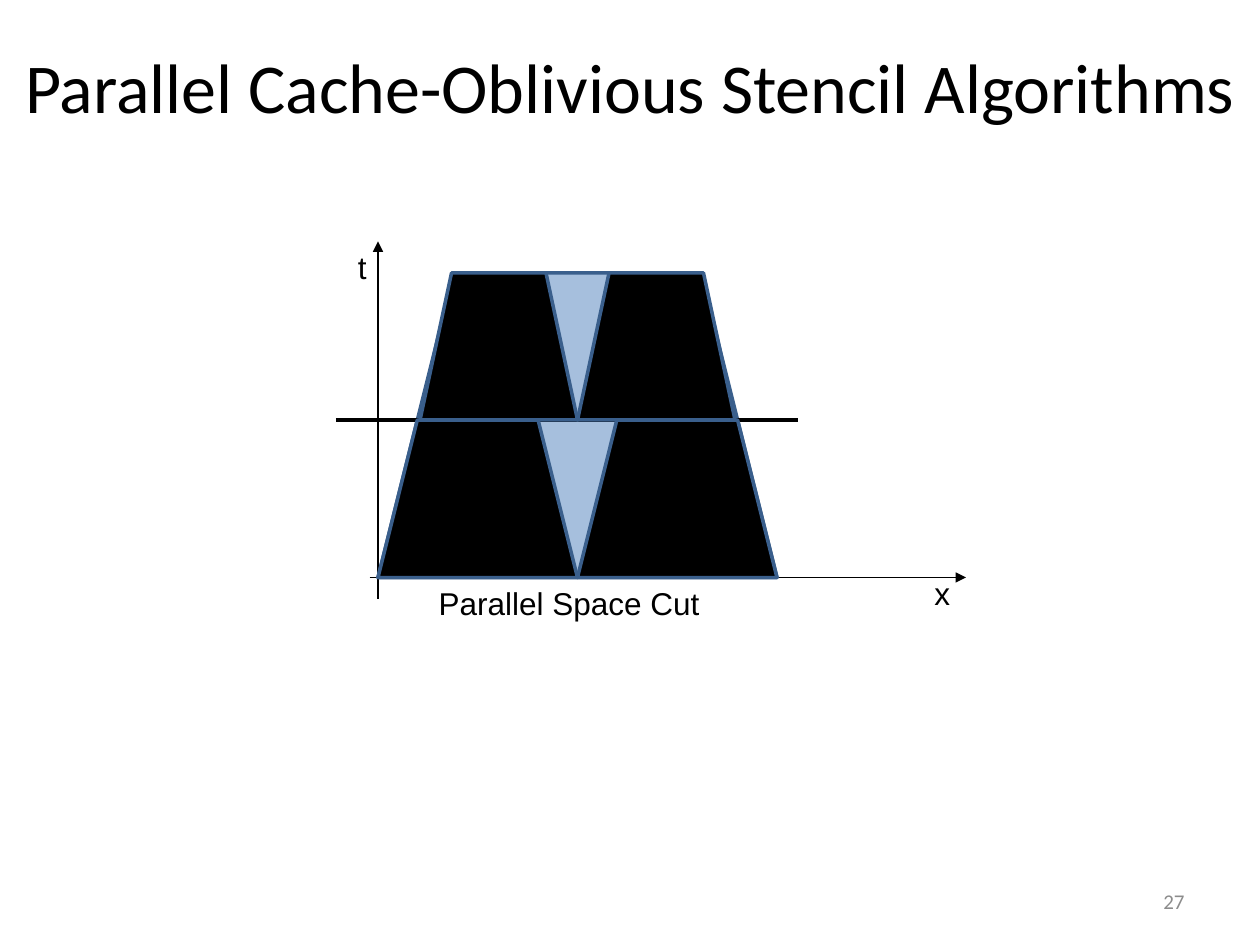
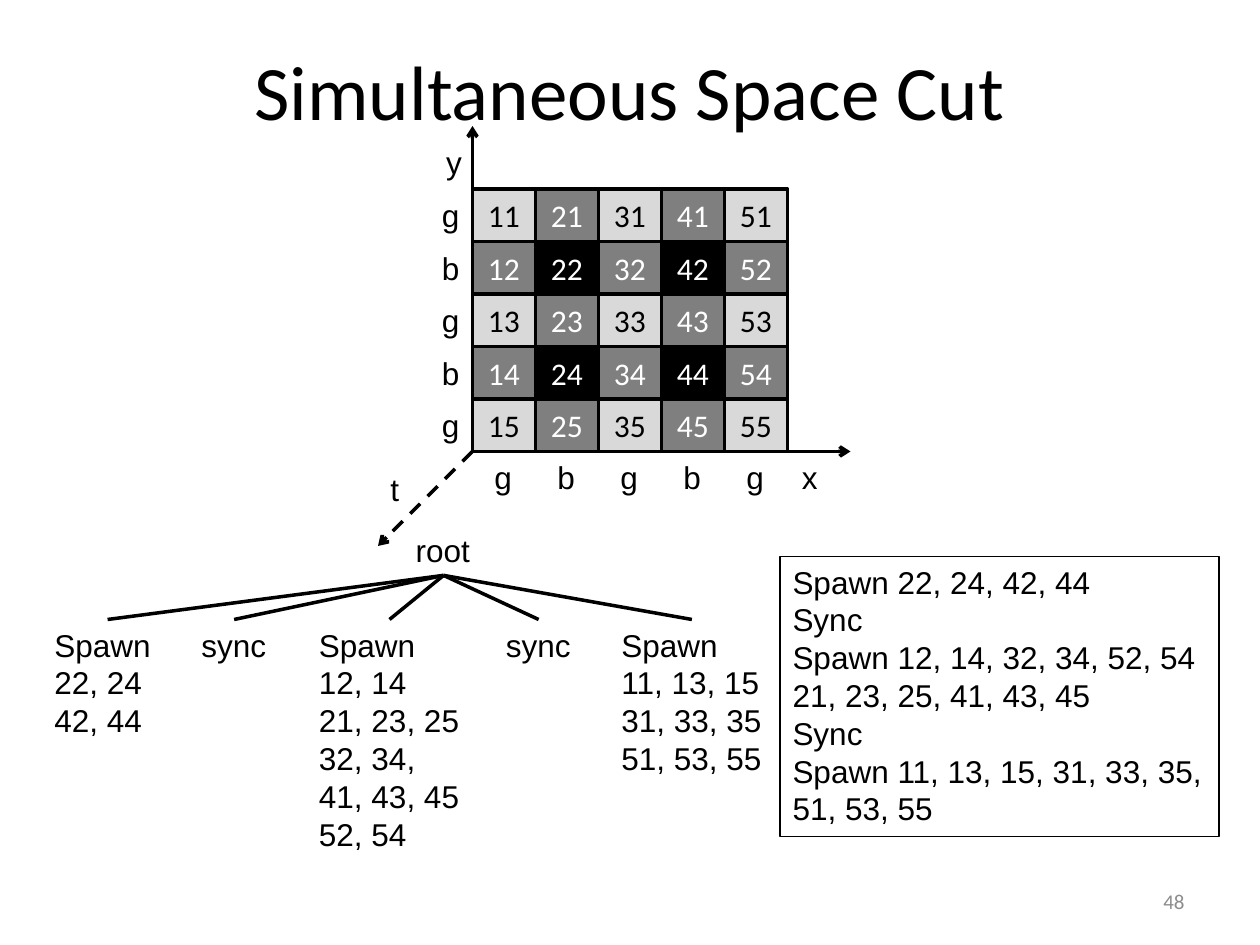
"""Build two slides on space cuts in parallel stencil algorithms."""
from dataclasses import dataclass
from typing import Optional

import lxml.etree
import pptx
import pptx.dml.color
import pptx.enum.dml
import pptx.enum.shapes
import pptx.enum.text
import pptx.oxml.ns
import pptx.util

BLACK, WHITE, GREY = "000000", "FFFFFF", "8C8C8C"
BLUE, EDGE = "4F81BD", "3A5F8C"
COLS = 120
LABEL = {"name": "Arial", "size": pptx.util.Pt(18)}
CELL = {"name": "Calibri", "size": pptx.util.Pt(18)}
NUMBER = {"name": "Calibri", "size": pptx.util.Pt(12)}
ALIGN = pptx.enum.text.PP_ALIGN
ANCHOR = pptx.enum.text.MSO_ANCHOR
SHAPE = pptx.enum.shapes.MSO_SHAPE
qn = pptx.oxml.ns.qn

prs = pptx.Presentation()
prs.slide_width, prs.slide_height = pptx.util.Inches(10), pptx.util.Inches(7.5)


@dataclass
class Box:
    """A rectangle in grid columns and rows."""
    x: float
    y: float
    w: float
    h: float

    def emu(self) -> list[int]:
        """Return left, top, width and height in EMU."""
        return [grid(v) for v in (self.x, self.y, self.w, self.h)]


@dataclass
class Line:
    """A straight line in grid columns and rows."""
    x1: float
    y1: float
    x2: float
    y2: float
    width: float = 2
    arrow: str = ""
    dashed: bool = False


@dataclass
class Label:
    """Lines of text that start at one grid point."""
    x: float
    y: float
    w: float
    lines: tuple[str, ...]

    def box(self) -> Box:
        """Return the rectangle that holds all the lines."""
        return Box(self.x, self.y, self.w, 4.8 + 3.65 * (len(self.lines) - 1))


def grid(n: float) -> int:
    """Convert grid units to EMU."""
    return round(n * prs.slide_width / COLS)


def rgb(value: str) -> pptx.dml.color.RGBColor:
    """Convert a hex string to a colour."""
    return pptx.dml.color.RGBColor.from_string(value)


def write(sp, lines: tuple[str, ...], font: dict, color: str = BLACK,
          align=ALIGN.LEFT, **frame) -> None:
    """Write one paragraph per line into a shape."""
    tf = sp.text_frame
    for key, value in frame.items():
        setattr(tf, key, value)
    for i, text in enumerate(lines):
        p = tf.add_paragraph() if i else tf.paragraphs[0]
        p.alignment = align
        r = p.add_run()
        r.text = text
        for key, value in font.items():
            setattr(r.font, key, value)
        r.font.color.rgb = rgb(color)


def paint(sp, fill: str, line: str, opacity: int = 100) -> None:
    """Set fill, outline and opacity of a shape."""
    sp.shadow.inherit = False
    sp.fill.solid()
    sp.fill.fore_color.rgb = rgb(fill)
    sp.line.color.rgb = rgb(line)
    sp.line.width = pptx.util.Pt(2)
    if opacity < 100:
        clr = sp._element.spPr.find(qn("a:solidFill"))[0]
        lxml.etree.SubElement(clr, qn("a:alpha")).set("val", str(opacity * 1000))


def draw_line(s, line: Line) -> None:
    """Draw a black line, dashed or with an arrowhead if asked."""
    c = s.shapes.add_connector(
        pptx.enum.shapes.MSO_CONNECTOR.STRAIGHT,
        grid(line.x1), grid(line.y1), grid(line.x2), grid(line.y2))
    c.line.color.rgb = rgb(BLACK)
    c.line.width = pptx.util.Pt(line.width)
    if line.dashed:
        c.line.dash_style = pptx.enum.dml.MSO_LINE.DASH
    spPr = c._element.spPr
    if line.arrow:
        ln = spPr.find(qn("a:ln"))
        lxml.etree.SubElement(ln, qn("a:tailEnd")).set("type", line.arrow)
    lxml.etree.SubElement(spPr, qn("a:effectLst"))


def draw_label(s, label: Label, border: Optional[float] = None) -> None:
    """Draw a label, framed when a border width is given."""
    sp = s.shapes.add_textbox(*label.box().emu())
    write(sp, label.lines, LABEL, word_wrap=False,
          auto_size=pptx.enum.text.MSO_AUTO_SIZE.SHAPE_TO_FIT_TEXT)
    if border:
        sp.line.color.rgb = rgb(BLACK)
        sp.line.width = pptx.util.Pt(border)


def draw_trapezoid(s, box: Box, fill: str = BLACK, opacity: int = 100) -> None:
    """Draw a preset trapezoid."""
    sp = s.shapes.add_shape(SHAPE.TRAPEZOID, *box.emu())
    paint(sp, fill, EDGE, opacity)


def draw_upper_half(s, box: Box, inset: float) -> None:
    """Draw a black outline whose top is inset on both sides."""
    right, bottom = box.x + box.w, box.y + box.h
    points = [(box.x, bottom), (box.x + inset, box.y),
              (right - inset, box.y), (right, bottom)]
    emu = [(grid(x), grid(y)) for x, y in points]
    fb = s.shapes.build_freeform(*emu[0])
    fb.add_line_segments(emu[1:], close=True)
    paint(fb.convert_to_shape(), BLACK, EDGE)


def add_slide(title: str, size: float, box: Box, number: int):
    """Add a blank slide with its title and number."""
    s = prs.slides.add_slide(prs.slide_layouts[6])
    sp = s.shapes.add_textbox(*box.emu())
    write(sp, (title,), {"name": "Calibri", "size": pptx.util.Pt(size)},
          align=ALIGN.CENTER, word_wrap=True)
    sp = s.shapes.add_textbox(*Box(86, 83.4, 28, 4.8).emu())
    write(sp, (str(number),), NUMBER, GREY, ALIGN.RIGHT,
          word_wrap=True, vertical_anchor=ANCHOR.MIDDLE)
    return s


def build_parallel_cut() -> None:
    """Draw the trapezoid cut once in time and twice in space."""
    s = add_slide("Parallel Cache-Oblivious Stencil Algorithms", 40,
                  Box(0, 3.6, COLS, 8.4), 27)
    draw_line(s, Line(35.2, 55, 92, 55, 0.75, "triangle"))
    draw_line(s, Line(36, 57, 36, 23, 0.75, "triangle"))
    draw_trapezoid(s, Box(36, 26, 38, 29), BLUE, 50)
    draw_line(s, Line(32, 40, 76, 40))
    for x in (40, 55):
        draw_upper_half(s, Box(x, 26, 15, 14), 3)
    for x in (36, 55):
        draw_trapezoid(s, Box(x, 40, 19, 15))
    for label in (Label(32.9, 23, 3.6, ("t",)), Label(87.8, 54.1, 4.2, ("x",)),
                  Label(40.6, 55, 27.5, ("Parallel Space Cut",))):
        draw_label(s, label)


def draw_cells(s, x: float, y: float, w: float, h: float) -> None:
    """Draw the numbered cells, darker with each black row or column."""
    marks = "gbgbg"
    shades = ((15, BLACK), (50, WHITE), (100, WHITE))
    for row, row_mark in enumerate(marks):
        for col, col_mark in enumerate(marks):
            opacity, color = shades[(row_mark + col_mark).count("b")]
            box = Box(x + col * w, y + row * h, w, h)
            sp = s.shapes.add_shape(SHAPE.RECTANGLE, *box.emu())
            paint(sp, BLACK, BLACK, opacity)
            write(sp, (f"{col + 1}{row + 1}",), CELL, color, ALIGN.CENTER,
                  vertical_anchor=ANCHOR.MIDDLE)
    for i, mark in enumerate(marks):
        draw_label(s, Label(x - 4.1, y + 0.1 + i * h, 4.1, (mark,)))
        draw_label(s, Label(x + 0.9 + i * w, y + len(marks) * h, 4.1, (mark,)))


def draw_tree(s) -> None:
    """Draw the root and a branch to the middle of each leaf."""
    root = Label(38.4, 50, 7.7, ("root",))
    leaves = (
        Label(4, 59, 12.5, ("Spawn", "22, 24", "42, 44")),
        Label(18, 59, 8.6, ("sync",)),
        Label(29.2, 59, 15.8, ("Spawn", "12, 14", "21, 23, 25", "32, 34,",
                               "41, 43, 45", "52, 54")),
        Label(47, 59, 8.6, ("sync",)),
        Label(58, 59, 15.8, ("Spawn", "11, 13, 15", "31, 33, 35",
                             "51, 53, 55")),
    )
    draw_label(s, root)
    for leaf in leaves:
        draw_label(s, leaf)
        draw_line(s, Line(root.x + root.w / 2, root.y + 4.8,
                          leaf.x + leaf.w / 2, leaf.y))


def build_simultaneous_cut() -> None:
    """Draw the cell grid, the spawn tree and the spawn order."""
    s = add_slide("Simultaneous Space Cut", 44, Box(6, 3.6, 108, 10.4), 48)
    draw_tree(s)
    draw_cells(s, 45, 18, 6, 5)
    for x, y, dashed in ((81, 43, False), (45, 12, False), (36, 52, True)):
        draw_line(s, Line(45, 43, x, y, arrow="arrow", dashed=dashed))
    for label in (Label(75.2, 43, 3.7, ("x",)), Label(41.3, 13, 3.8, ("y",)),
                  Label(36, 44.2, 3.5, ("t",))):
        draw_label(s, label)
    order = ("Spawn 22, 24, 42, 44", "Sync", "Spawn 12, 14, 32, 34, 52, 54",
             "21, 23, 25, 41, 43, 45", "Sync",
             "Spawn 11, 13, 15, 31, 33, 35,", "51, 53, 55")
    draw_label(s, Label(74.3, 53, 41.8, order), 0.75)


build_parallel_cut()
build_simultaneous_cut()
prs.save("out.pptx")
